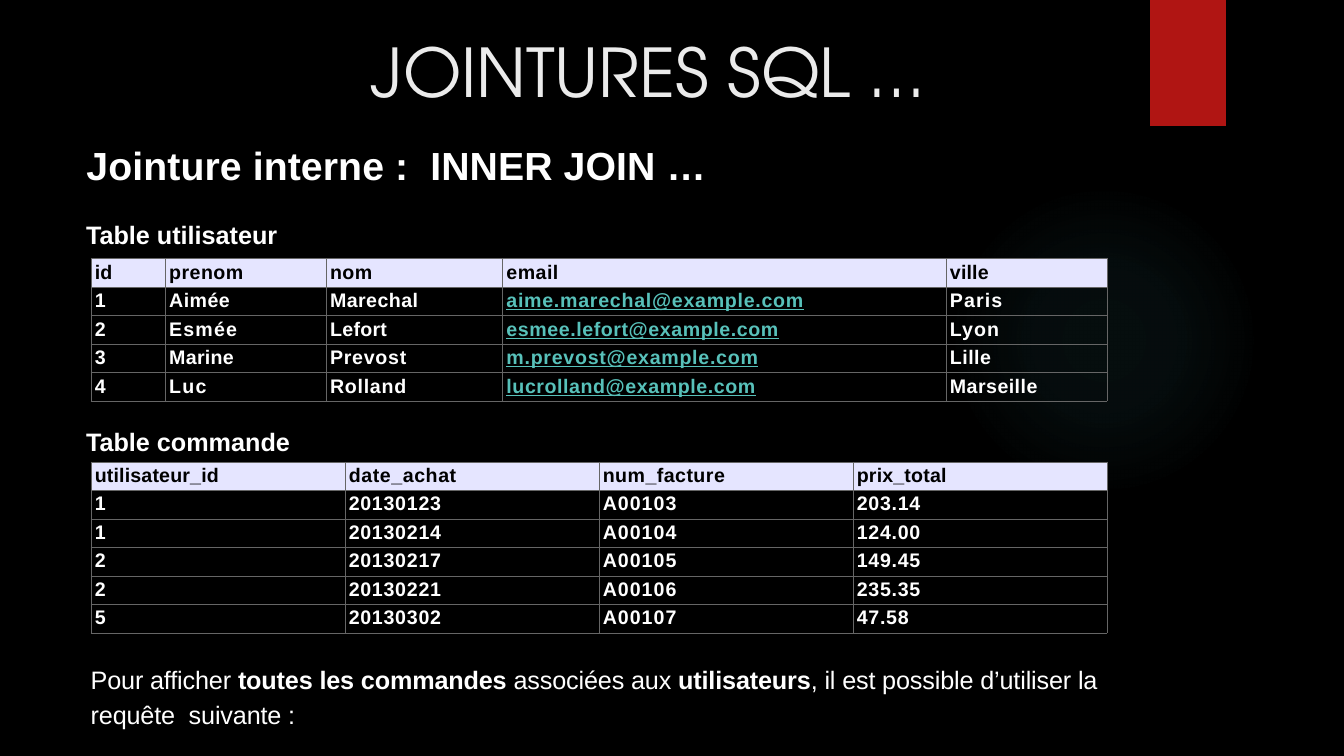
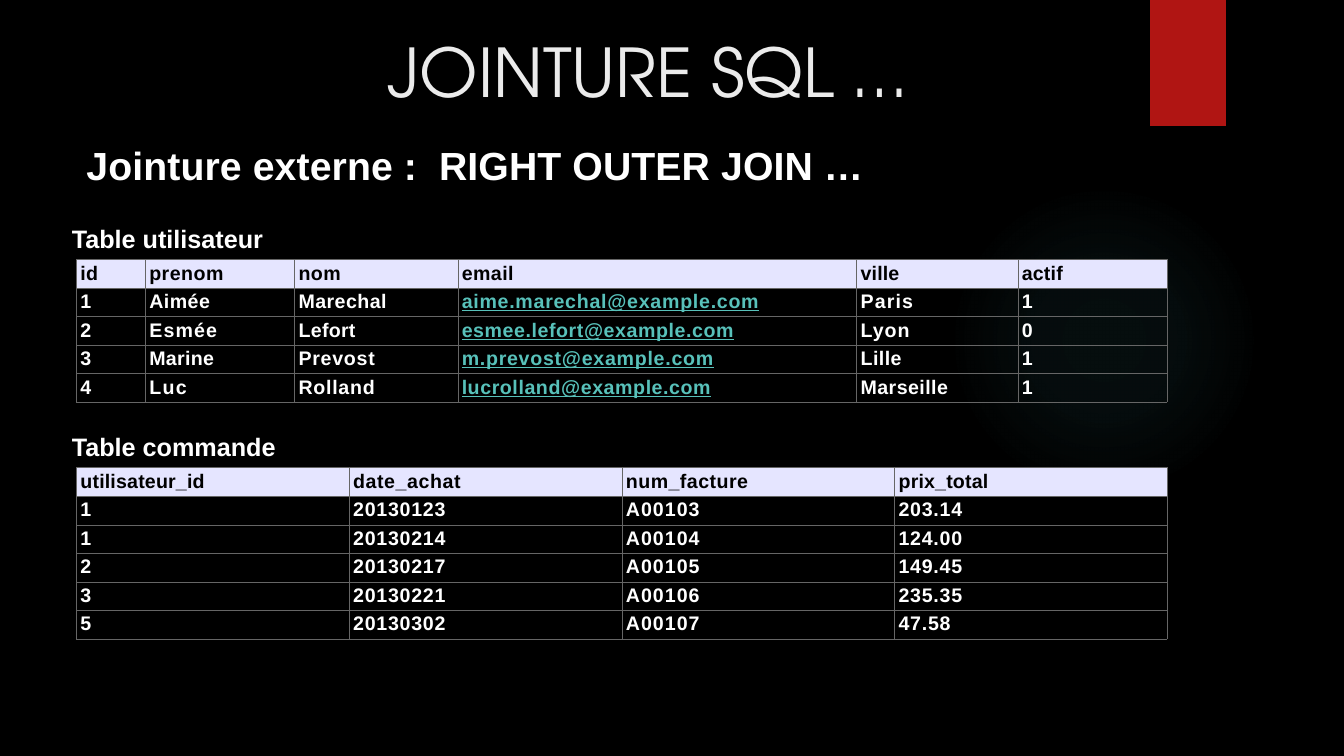
from pptx import Presentation
from pptx.dml.color import RGBColor
from pptx.enum.shapes import MSO_SHAPE as SHAPE
from pptx.enum.text import MSO_ANCHOR as ANCHOR, MSO_AUTO_SIZE as FIT, PP_ALIGN as ALIGN
from pptx.oxml import parse_xml
from pptx.oxml.ns import nsdecls, qn
from pptx.util import Pt

# Content
USERS = [
    ("id", "prenom", "nom", "email", "ville"),
    ("1", "Aimée", "Marechal", "aime.marechal@example.com", "Paris"),
    ("2", "Esmée", "Lefort", "esmee.lefort@example.com", "Lyon"),
    ("3", "Marine", "Prevost", "m.prevost@example.com", "Lille"),
    ("4", "Luc", "Rolland", "lucrolland@example.com", "Marseille"),
]
ACTIVE = ["actif", "1", "0", "1", "1"]
ORDER_HEADER = ("utilisateur_id", "date_achat", "num_facture", "prix_total")
PURCHASES = [
    ("20130123", "A00103", "203.14"),
    ("20130214", "A00104", "124.00"),
    ("20130217", "A00105", "149.45"),
    ("20130221", "A00106", "235.35"),
    ("20130302", "A00107", "47.58"),
]
QUERY_INTRO = [
    ("Pour afficher ", False), ("toutes les commandes ", True),
    ("associées aux ", False), ("utilisateurs", True),
    (", il est possible d’utiliser la requête  suivante :", False),
]


def orders(buyers):
    return [ORDER_HEADER] + [(buyer, *row) for buyer, row in zip(buyers, PURCHASES)]


# Tables: label, label top, table top, rows, column widths
SLIDES = [
    dict(title="JOINTURES SQL …", heading="Jointure interne :  INNER JOIN …", left=64.8,
         tables=[("Table utilisateur", 153.4, 184.6, USERS, [53.2, 114.9, 126, 316.8, 115.2]),
                 ("Table commande", 301, 329.8, orders("11225"), [181.45] * 4)],
         note=QUERY_INTRO),
    dict(title="JOINTURE SQL …", heading="Jointure externe :  RIGHT OUTER JOIN …", left=54.6,
         tables=[("Table utilisateur", 156.2, 185.3,
                  [(*user, active) for user, active in zip(USERS, ACTIVE)],
                  [49.2, 106.6, 116.6, 284.9, 115.2, 106.6]),
                 ("Table commande", 304.6, 334, orders("11235"), [194.8] * 4)],
         note=None),
]

# Shared style
BLACK, WHITE, TITLE, RED = "000000", "FFFFFF", "EBEBEB", "B01513"
GLOW, HEADER, BORDER, EMAIL = "50B9C1", "E5E5FF", "666666", "58C1BA"
BODY_FONT, TITLE_FONT = "Arial", "TeX Gyre Adventor"
ROW_HEIGHT = 20.4
# Letter spacing in points, where it differs from the usual value of its column
TRACKING = {
    "id": 0.1, "ville": 0.1, "actif": 0.1, "utilisateur_id": 0.1, "prix_total": 0.1,
    "date_achat": 0.4, "Paris": 0.8, "Esmée": 0.8, "Lefort": 0.2, "Lyon": 0.7,
    "Marine": 0.2, "Prevost": 0.5, "Luc": 0.9, "Rolland": 0.5,
    "esmee.lefort@example.com": 0.4, "lucrolland@example.com": 0.4,
}


def rgb(color):
    return RGBColor.from_string(color)


def tracking(text):
    if text in TRACKING:
        return TRACKING[text]
    if len(text) == 1:
        return 0
    if text.startswith("A00"):
        return 0.7
    return 0.5 if "@" in text or text[0].isdigit() else 0.3


def write(frame, text, size=18, color=WHITE, font=BODY_FONT, bold=False, underline=False,
          spacing=0, align=ALIGN.LEFT, before=0, line=None):
    """Fill a frame with a string, or with (string, bold) runs."""
    paragraph = frame.paragraphs[0]
    paragraph.alignment = align
    paragraph.space_before = Pt(before)
    if line:
        paragraph.line_spacing = line
    for part, is_bold in [(text, bold)] if isinstance(text, str) else text:
        run = paragraph.add_run()
        run.text = part
        run.font.name, run.font.size = font, Pt(size)
        run.font.bold, run.font.underline = is_bold, underline
        run.font.color.rgb = rgb(color)
        if spacing:
            run._r.get_or_add_rPr().set("spc", str(round(spacing * 100)))


def add_text(slide, box, text, inset=None, **style):
    frame = slide.shapes.add_textbox(*map(Pt, box)).text_frame
    frame.word_wrap = True
    frame.auto_size = FIT.SHAPE_TO_FIT_TEXT
    if inset is not None:
        frame.margin_left = frame.margin_right = frame.margin_bottom = 0
        frame.margin_top = Pt(inset)
    write(frame, text, **style)


def add_borders(cell):
    properties = cell._tc.get_or_add_tcPr()
    for position, side in enumerate("LRTB"):
        properties.insert(position, parse_xml(
            f'<a:ln{side} {nsdecls("a")} w="3175"><a:solidFill>'
            f'<a:srgbClr val="{BORDER}"/></a:solidFill></a:ln{side}>'))


def add_data(slide, left, top, rows, widths):
    table = slide.shapes.add_table(
        len(rows), len(widths), Pt(left), Pt(top),
        Pt(sum(widths)), Pt(ROW_HEIGHT * len(rows))).table
    table.horz_banding = False
    for column, width in zip(table.columns, widths):
        column.width = Pt(width)
    for r, row in enumerate(rows):
        table.rows[r].height = Pt(ROW_HEIGHT)
        for c, text in enumerate(row):
            cell = table.cell(r, c)
            cell.margin_left, cell.margin_top = Pt(2.9), Pt(2)
            cell.margin_right = cell.margin_bottom = 0
            if r == 0:
                cell.fill.solid()
                cell.fill.fore_color.rgb = rgb(HEADER)
            else:
                cell.fill.background()
            add_borders(cell)
            is_email = "@" in text
            write(cell.text_frame, text, size=14, bold=True, underline=is_email,
                  color=BLACK if r == 0 else EMAIL if is_email else WHITE,
                  spacing=tracking(text), before=2.1)


def add_decor(slide, master):
    """Draw the glow and the red band, then place them on the master."""
    glow = slide.shapes.add_shape(SHAPE.OVAL, Pt(677.5), Pt(131.8), Pt(221.8), Pt(221.8))
    band = slide.shapes.add_shape(SHAPE.RECTANGLE, Pt(821.6), 0, Pt(54), Pt(90))
    for position, (shape, color) in enumerate([(glow, GLOW), (band, RED)], start=2):
        shape.fill.solid()
        shape.fill.fore_color.rgb = rgb(color)
        shape.line.fill.background()
        shape.shadow.inherit = False
        master.shapes.element.insert(position, shape.element)

    stops = "".join(
        f'<a:gs pos="{at * 1000}"><a:srgbClr val="{GLOW}"><a:alpha val="{alpha * 1000}"/>'
        f'</a:srgbClr></a:gs>' for at, alpha in [(0, 7), (36, 6), (69, 0)])
    glow_style = glow.element.spPr
    glow_style.replace(glow_style.find(qn("a:solidFill")), parse_xml(
        f'<a:gradFill {nsdecls("a")}><a:gsLst>{stops}</a:gsLst><a:path path="circle">'
        f'<a:fillToRect l="50000" t="50000" r="50000" b="50000"/></a:path></a:gradFill>'))
    band.element.spPr.find(qn("a:effectLst")).append(parse_xml(
        f'<a:outerShdw {nsdecls("a")} blurRad="38100" dist="25400" dir="5400000">'
        f'<a:srgbClr val="{BLACK}"><a:alpha val="45000"/></a:srgbClr></a:outerShdw>'))


def add_title(slide, text):
    title = slide.shapes.title
    title.left, title.top, title.width, title.height = map(Pt, (105.8, 15.1, 713.5, 67.7))
    title.text_frame.vertical_anchor = ANCHOR.BOTTOM
    title.text_frame.auto_size = FIT.NONE
    write(title.text_frame, text, size=48, color=TITLE, font=TITLE_FONT, align=ALIGN.CENTER)


def main():
    prs = Presentation()
    prs.slide_width, prs.slide_height = Pt(960), Pt(540)
    master = prs.slide_master
    master.background.fill.solid()
    master.background.fill.fore_color.rgb = rgb(BLACK)

    for number, content in enumerate(SLIDES):
        slide = prs.slides.add_slide(prs.slide_layouts[5])
        if number == 0:
            add_decor(slide, master)
        add_title(slide, content["title"])
        add_text(slide, (54.7, 97.2, 830.2, 41), content["heading"], size=28, bold=True,
                 spacing=0.1, align=ALIGN.JUSTIFY, before=13.7)
        left = content["left"]
        for label, label_top, top, rows, widths in content["tables"]:
            add_text(slide, (left - 10.4, label_top, 221.8, 28.8), label, bold=True)
            add_data(slide, left, top, rows, widths)
        if content["note"]:
            add_text(slide, (left, 470.9, 734.4, 51.1), content["note"], inset=0.7,
                     spacing=-0.1, before=1, line=1.15)
    prs.save("out.pptx")


if __name__ == "__main__":
    main()
